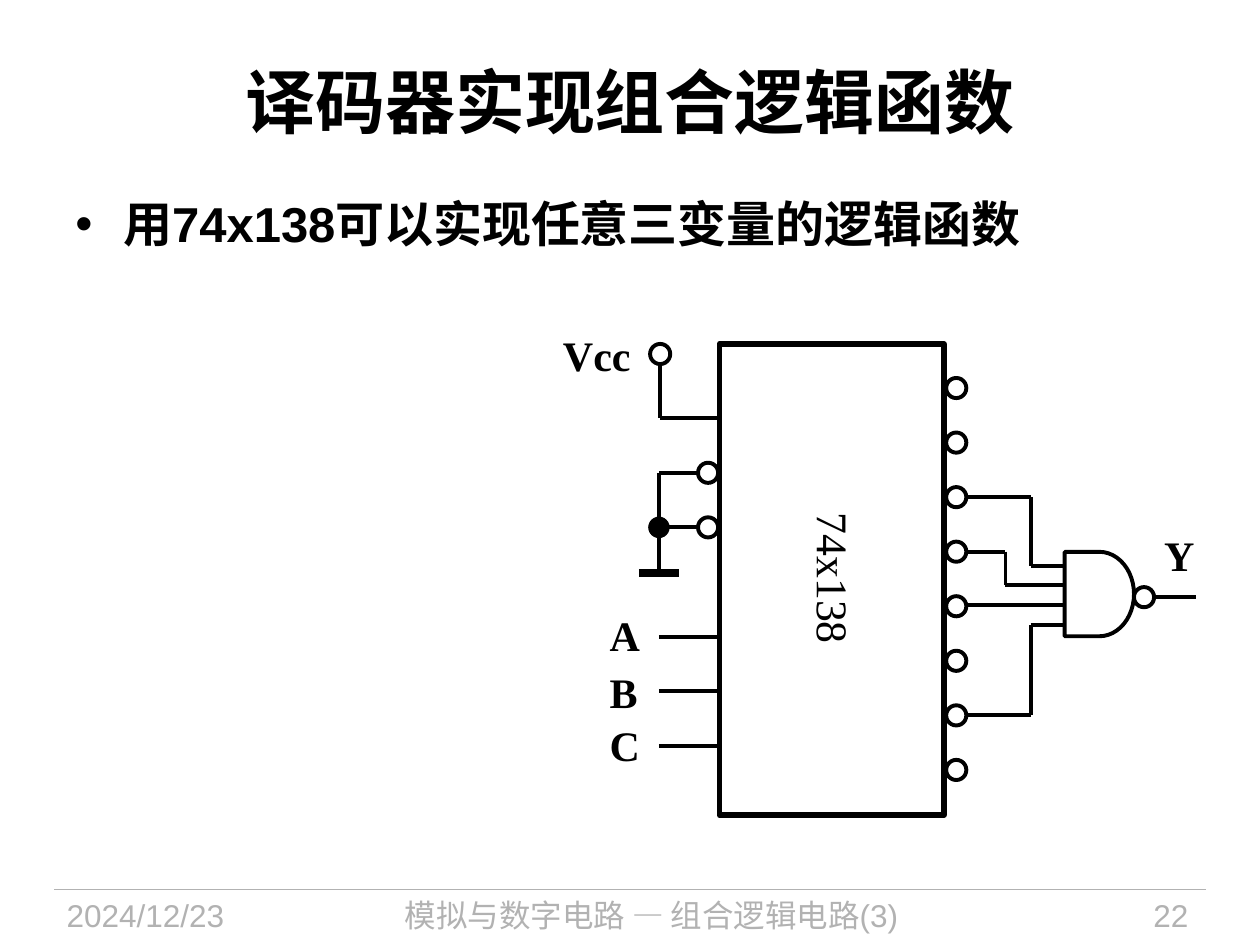
from itertools import pairwise

from lxml.etree import SubElement
from pptx import Presentation
from pptx.dml.color import RGBColor
from pptx.enum.shapes import MSO_CONNECTOR, MSO_SHAPE
from pptx.enum.text import MSO_ANCHOR, MSO_AUTO_SIZE, PP_ALIGN
from pptx.oxml.ns import qn
from pptx.util import Inches, Pt

THEME = {
    "ink": RGBColor(0, 0, 0),
    "paper": RGBColor(255, 255, 255),
    "muted": RGBColor(0xB2, 0xB2, 0xB2),
    "title": {"name": "Arial", "size": Pt(40), "bold": True},
    "body": {"name": "Arial", "size": Pt(28), "bold": True},
    "footer": {"name": "Arial", "size": Pt(18), "bold": False},
    "label": {"name": "Times New Roman", "size": Pt(24), "bold": True},
    "chip": {"name": "Times New Roman", "size": Pt(25), "bold": False},
    "rule": Pt(0.75),
    "wire": Pt(2.25),
    "outline": Pt(3.25),
    "ground": Pt(4.5),
}

prs = Presentation()
prs.slide_width, prs.slide_height = Inches(10), Inches(7.5)
COL, ROW = prs.slide_width / 100, prs.slide_height / 75
s = prs.slides.add_slide(prs.slide_layouts[5])


def write(sp, box, text, style, color="ink", align=PP_ALIGN.LEFT, **frame):
    x, y, w, h = box
    place = {"left": x * COL, "top": y * ROW, "width": w * COL, "height": h * ROW}
    for name, value in place.items():
        setattr(sp, name, round(value))
    tf = sp.text_frame
    for name, value in ({"word_wrap": True, "auto_size": MSO_AUTO_SIZE.NONE} | frame).items():
        setattr(tf, name, value)
    p = tf.paragraphs[0]
    p.alignment = align
    r = p.add_run()
    r.text = text
    for name, value in THEME[style].items():
        setattr(r.font, name, value)
    r.font.color.rgb = THEME[color]
    return p


def wire(points, weight="wire", color="ink"):
    for (x1, y1), (x2, y2) in pairwise(points):
        ends = [round(v) for v in (x1 * COL, y1 * ROW, x2 * COL, y2 * ROW)]
        c = s.shapes.add_connector(MSO_CONNECTOR.STRAIGHT, *ends)
        c.line.width = THEME[weight]
        c.line.color.rgb = THEME[color]
        SubElement(c.element.spPr, qn("a:effectLst"))


wire([(4.3, 70.6), (95.7, 70.6)], "rule", "muted")
for x, w, text, align in (
    (4.3, 18.8, "2024/12/23", PP_ALIGN.LEFT),
    (24.9, 53.6, "模拟与数字电路 — 组合逻辑电路(3)", PP_ALIGN.CENTER),
    (82, 13.3, "22", PP_ALIGN.RIGHT),
):
    write(s.shapes.add_textbox(0, 0, 0, 0), (x, 70.6, w, 4.4), text, "footer", "muted", align)

write(s.shapes.title, (5, 1.7, 90, 12.5), "译码器实现组合逻辑函数", "title",
      align=PP_ALIGN.CENTER, vertical_anchor=MSO_ANCHOR.MIDDLE)

p = write(s.shapes.add_textbox(0, 0, 0, 0), (5, 14.9, 90, 6.7),
          "用74x138可以实现任意三变量的逻辑函数", "body")
pPr = p._p.get_or_add_pPr()
pPr.set("marL", str(Inches(0.38)))
pPr.set("indent", str(-Inches(0.38)))
SubElement(pPr, qn("a:buFont"), typeface="Arial")
SubElement(pPr, qn("a:buChar"), char="•")

PITCH, BUBBLE = 4.33, 1.6
CHIP_L, CHIP_W, IN_X, OUT_X = 57.1, 17.8, 52.3, 76.7
GATE_X, GATE_Y = 84.5, 47.4
inputs = [33.2 + PITCH * i for i in range(7)]
outputs = [30.8 + PITCH * i for i in range(8)]
power, enable_a, enable_b, _, *address = inputs

shapes = [
    (MSO_SHAPE.RECTANGLE, (CHIP_L, 31.2, CHIP_W, 32.4), "paper", None),
    (MSO_SHAPE.RECTANGLE, (CHIP_L, 27.3, CHIP_W, 37.4), None, "outline"),
    (MSO_SHAPE.FLOWCHART_DELAY, (GATE_X, 43.8, 5.5, 6.7), None, "wire"),
]
bubbles = [(75.9, y, None, "wire") for y in outputs]
bubbles += [(56.2, y, None, "wire") for y in (enable_a, enable_b)]
bubbles += [(52.4, 28.1, None, "wire"), (90.8, GATE_Y, None, "wire"),
            (IN_X, enable_b, "ink", "rule")]
shapes += [(MSO_SHAPE.OVAL, (x - BUBBLE / 2, y - BUBBLE / 2, BUBBLE, BUBBLE), fill, line)
           for x, y, fill, line in bubbles]

for kind, (x, y, w, h), fill, line in shapes:
    sp = s.shapes.add_shape(kind, *(round(v) for v in (x * COL, y * ROW, w * COL, h * ROW)))
    sp.shadow.inherit = False
    if fill:
        sp.fill.solid()
        sp.fill.fore_color.rgb = THEME[fill]
    else:
        sp.fill.background()
    if line:
        sp.line.width = THEME[line]
        sp.line.color.rgb = THEME["ink"]
    else:
        sp.line.fill.background()

wire([(52.4, 28.9), (52.4, power), (57, power)])
wire([(55.4, enable_a), (IN_X, enable_a), (IN_X, 45.5)])
wire([(IN_X, enable_b), (55.4, enable_b)])
wire([(50.7, 45.5), (53.9, 45.5)], "ground")
for y in address:
    wire([(IN_X, y), (57, y)])
for pin, bend, gate_pin in ((2, 81.8, 44.9), (3, 79.8, 46.4), (6, 81.8, 49.6)):
    y = outputs[pin]
    wire([(OUT_X, y), (bend, y), (bend, gate_pin), (GATE_X, gate_pin)])
wire([(OUT_X, 48), (GATE_X, 48)])
wire([(91.6, GATE_Y), (94.9, GATE_Y)])

for text, x, y, w in (("Vcc", 43.7, 25.7, 8.3), ("A", 47.4, 47.9, 4.3), ("B", 47.4, 52.4, 4.3),
                      ("C", 47.4, 56.6, 4.3), ("Y", 91.4, 41.5, 4.3)):
    write(s.shapes.add_textbox(0, 0, 0, 0), (x, y, w, 5), text, "label",
          auto_size=MSO_AUTO_SIZE.SHAPE_TO_FIT_TEXT)

sp = s.shapes.add_textbox(0, 0, 0, 0)
sp.text_frame._txBody.bodyPr.set("vert", "eaVert")
write(sp, (64.1, 40.7, 4.2, 10.4), "74x138", "chip", word_wrap=False,
      auto_size=MSO_AUTO_SIZE.SHAPE_TO_FIT_TEXT,
      margin_left=0, margin_right=0, margin_top=0, margin_bottom=0)

prs.save("out.pptx")
